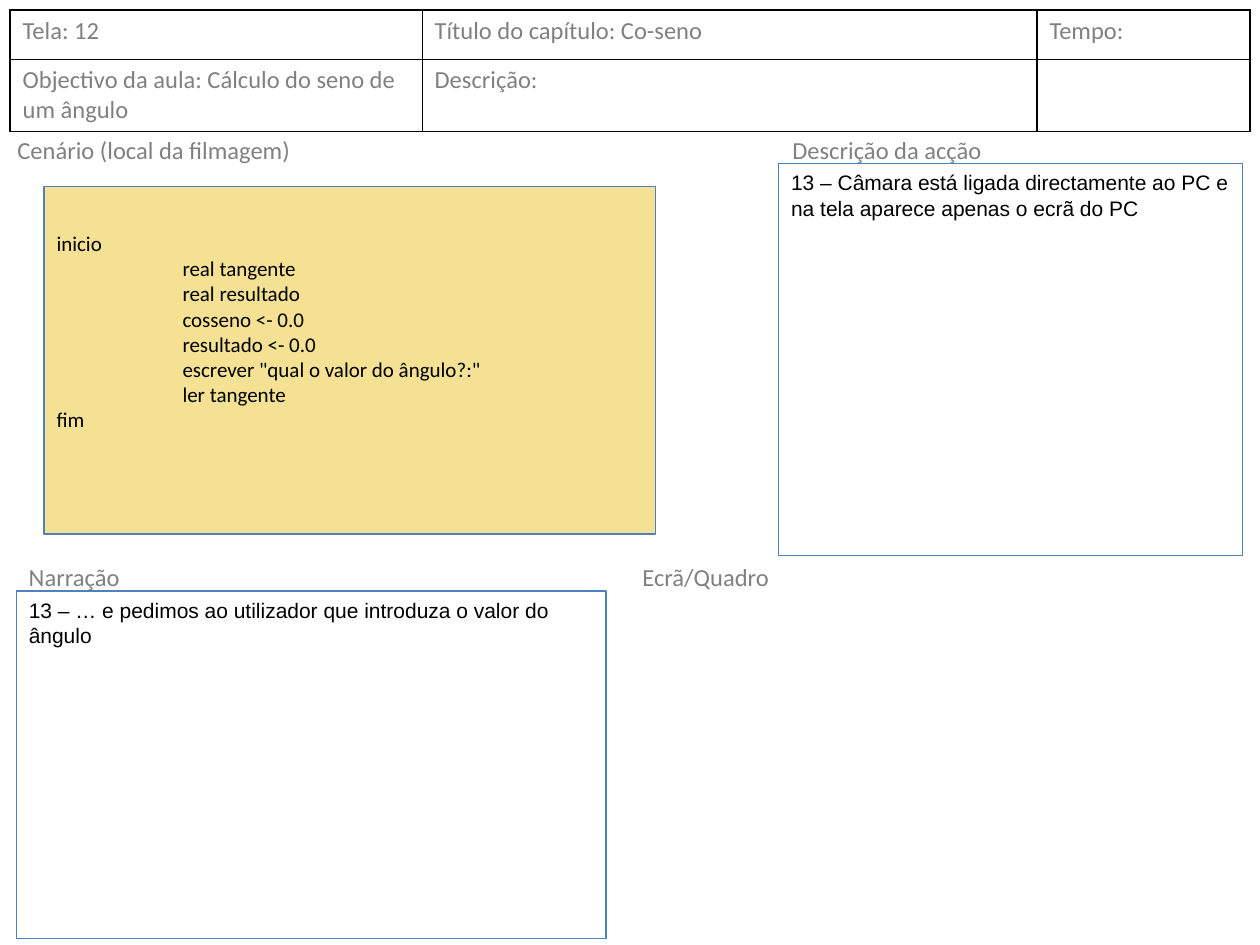
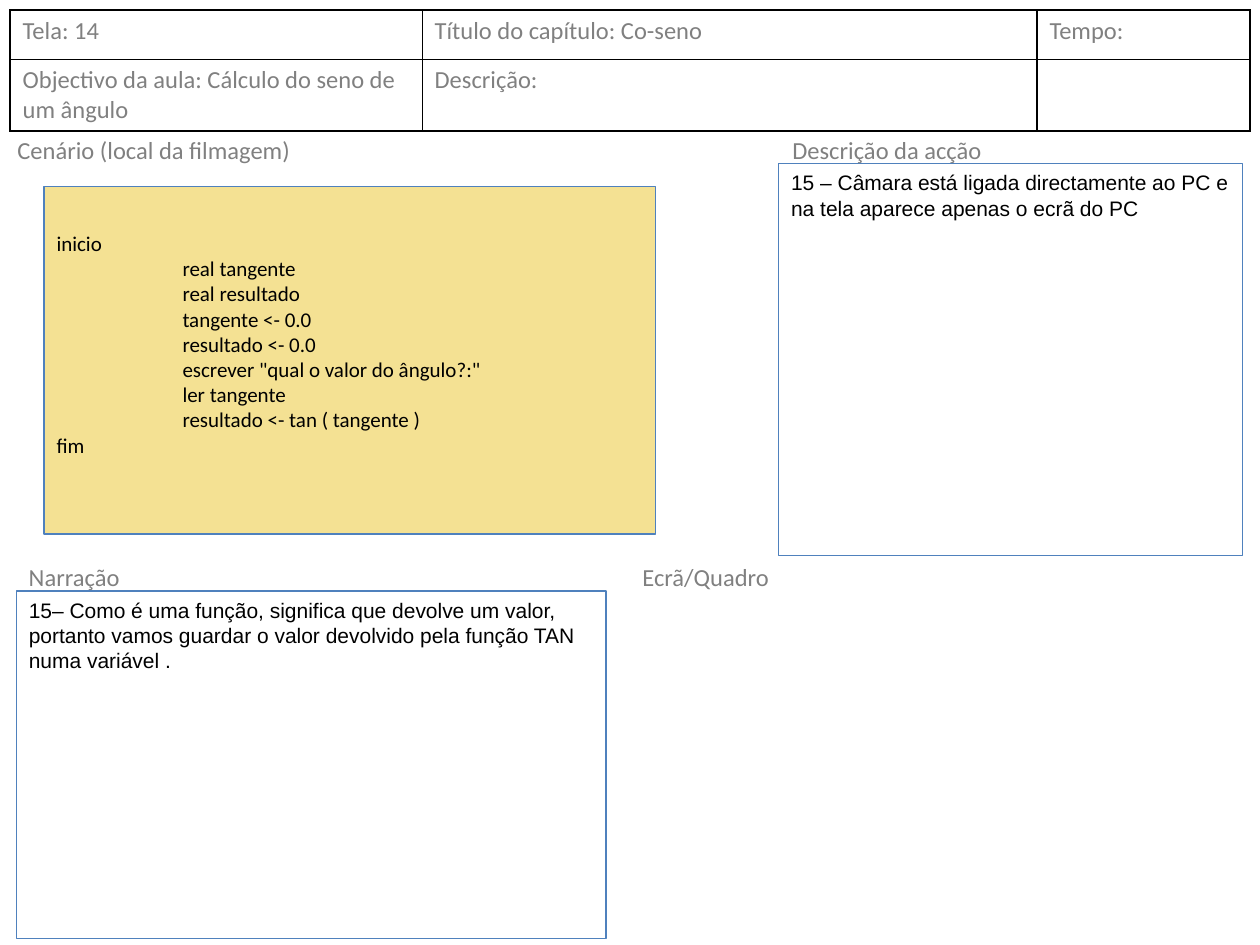
"""Build the storyboard slides of a lesson on trigonometric functions."""
from dataclasses import dataclass
from typing import Optional

from lxml import etree
from pptx import Presentation
from pptx.dml.color import RGBColor
from pptx.enum.shapes import MSO_SHAPE
from pptx.enum.text import MSO_ANCHOR, PP_ALIGN
from pptx.oxml.ns import qn
from pptx.util import Inches, Pt

RECTANGLE = MSO_SHAPE.RECTANGLE
TOP = MSO_ANCHOR.TOP
LEFT = PP_ALIGN.LEFT

WIDTH, HEIGHT = Inches(10), Inches(7.5)
COLUMN, ROW = WIDTH / 100, HEIGHT / 75

GREY, BLACK, BLUE, SAND = "808080", "000000", "4F81BD", "F4E193"
THICK, THIN = Pt(1), Pt(0.5)
CODE_INDENT = Inches(1)
CODE_TOP = Inches(0.35)


@dataclass(frozen=True)
class Area:
    """A rectangle in grid columns and rows."""
    column: float
    row: float
    columns: float
    rows: float

    def box(self) -> tuple[int, int, int, int]:
        """Return left, top, width and height."""
        return (int(self.column * COLUMN), int(self.row * ROW),
                int(self.columns * COLUMN), int(self.rows * ROW))


@dataclass(frozen=True)
class TextStyle:
    """Font, size and colour of a text."""
    font: str
    size: float
    color: str


@dataclass(frozen=True)
class Heading:
    """A grey section heading."""
    text: str
    area: Area


@dataclass(frozen=True)
class Scene:
    """What differs from one storyboard slide to the next."""
    screen: int
    code: tuple[str, ...]
    action: str
    narration: str


HEADING_STYLE = TextStyle("Calibri", 14, GREY)
CODE_STYLE = TextStyle("Calibri", 12, BLACK)
NOTE_STYLE = TextStyle("Arial", 12, BLACK)

HEADER = Area(0.8, 0.8, 98.4, 9.6)
HEADER_COLUMNS = (32.7, 48.8, 16.9)
HEADER_ROWS = (3.9, 5.7)
SCENERY = Area(3.5, 14.8, 48.5, 27.6)
ACTION = Area(61.8, 13, 36.8, 31.1)
NARRATION = Area(1.3, 46.9, 46.8, 27.6)
HEADINGS = (
    Heading("Cenário (local da filmagem)", Area(0.4, 10.2, 41.7, 3.3)),
    Heading("Descrição da acção", Area(61.9, 10.2, 25.2, 3.3)),
    Heading("Narração", Area(1.3, 44.1, 46.4, 3.3)),
    Heading("Ecrã/Quadro", Area(50, 44.1, 46.4, 3.3)),
)


def program(variable: str, *steps: str) -> tuple[str, ...]:
    """Return the lines of the lesson's program, ending with extra steps."""
    return ("inicio", "real tangente", "real resultado", f"{variable} <- 0.0",
            "resultado <- 0.0", 'escrever "qual o valor do ângulo?:"',
            "ler tangente", *steps, "fim")


def action(number: int) -> str:
    """Return the camera direction of a numbered shot."""
    return (f"{number} – Câmara está ligada directamente ao PC e "
            "na tela aparece apenas o ecrã do PC")


SCENES = (
    Scene(12, program("cosseno"), action(13),
          "13 – … e pedimos ao utilizador que introduza o valor do ângulo"),
    Scene(14, program("tangente", "resultado <- tan ( tangente )"), action(15),
          "15– Como é uma função, significa que devolve um valor, portanto "
          "vamos guardar o valor devolvido pela função TAN numa variável ."),
)


def rgb(color: str) -> RGBColor:
    """Turn a hex string into a colour."""
    return RGBColor.from_string(color)


def write(frame, text: str, style: TextStyle) -> None:
    """Put styled, left-aligned text into a frame."""
    frame.text = text
    frame.word_wrap = True
    for paragraph in frame.paragraphs:
        paragraph.alignment = LEFT
        for run in paragraph.runs:
            run.font.name = style.font
            run.font.size = Pt(style.size)
            run.font.color.rgb = rgb(style.color)


def set_border(cell, side: str, width: int, position: int) -> None:
    """Draw one black border of a table cell."""
    line = etree.Element(qn(f"a:ln{side}"), w=str(int(width)))
    fill = etree.SubElement(line, qn("a:solidFill"))
    etree.SubElement(fill, qn("a:srgbClr"), val=BLACK)
    cell._tc.get_or_add_tcPr().insert(position, line)


def draw_header(slide, screen: int) -> None:
    """Draw the table that identifies the lesson and the screen."""
    texts = ((f"Tela: {screen}", "Título do capítulo: Co-seno", "Tempo:"),
             ("Objectivo da aula: Cálculo do seno de um ângulo",
              "Descrição:", ""))
    table = slide.shapes.add_table(len(HEADER_ROWS), len(HEADER_COLUMNS),
                                   *HEADER.box()).table
    table.first_row = table.horz_banding = False
    for column, share in zip(table.columns, HEADER_COLUMNS):
        column.width = int(share * COLUMN)
    for row, share in zip(table.rows, HEADER_ROWS):
        row.height = int(share * ROW)
    vertical = (THICK, THIN, THICK, THICK)
    horizontal = (THICK, THIN, THICK)
    for r, row_texts in enumerate(texts):
        for c, text in enumerate(row_texts):
            cell = table.cell(r, c)
            write(cell.text_frame, text, HEADING_STYLE)
            cell.fill.background()
            borders = {"L": vertical[c], "R": vertical[c + 1],
                       "T": horizontal[r], "B": horizontal[r + 1]}
            for position, (side, width) in enumerate(borders.items()):
                set_border(cell, side, width, position)


def draw_heading(slide, heading: Heading) -> None:
    """Draw a section heading."""
    label = slide.shapes.add_textbox(*heading.area.box())
    write(label.text_frame, heading.text, HEADING_STYLE)


def draw_panel(slide, area: Area, text: str, style: TextStyle,
               fill: Optional[str] = None):
    """Draw an outlined panel and return its text frame."""
    panel = slide.shapes.add_shape(RECTANGLE, *area.box())
    panel.shadow.inherit = False
    if fill:
        panel.fill.solid()
        panel.fill.fore_color.rgb = rgb(fill)
    else:
        panel.fill.background()
    panel.line.color.rgb = rgb(BLUE)
    panel.line.width = Pt(0.75)
    write(panel.text_frame, text, style)
    panel.text_frame.vertical_anchor = TOP
    return panel.text_frame


def draw_code(slide, code: tuple[str, ...]) -> None:
    """Draw the program with its body indented."""
    listing = draw_panel(slide, SCENERY, "\n".join(code), CODE_STYLE, SAND)
    listing.margin_top = CODE_TOP
    for paragraph in listing.paragraphs[1:-1]:
        paragraph._p.get_or_add_pPr().set("marL", str(int(CODE_INDENT)))


def draw_scene(slide, scene: Scene) -> None:
    """Draw one whole storyboard slide."""
    draw_header(slide, scene.screen)
    draw_panel(slide, NARRATION, scene.narration, NOTE_STYLE)
    draw_code(slide, scene.code)
    draw_panel(slide, ACTION, scene.action, NOTE_STYLE)
    for heading in HEADINGS:
        draw_heading(slide, heading)


def main() -> None:
    """Build and save the storyboard."""
    deck = Presentation()
    deck.slide_width, deck.slide_height = WIDTH, HEIGHT
    blank = deck.slide_layouts[6]
    for scene in SCENES:
        draw_scene(deck.slides.add_slide(blank), scene)
    deck.save("out.pptx")


if __name__ == "__main__":
    main()
